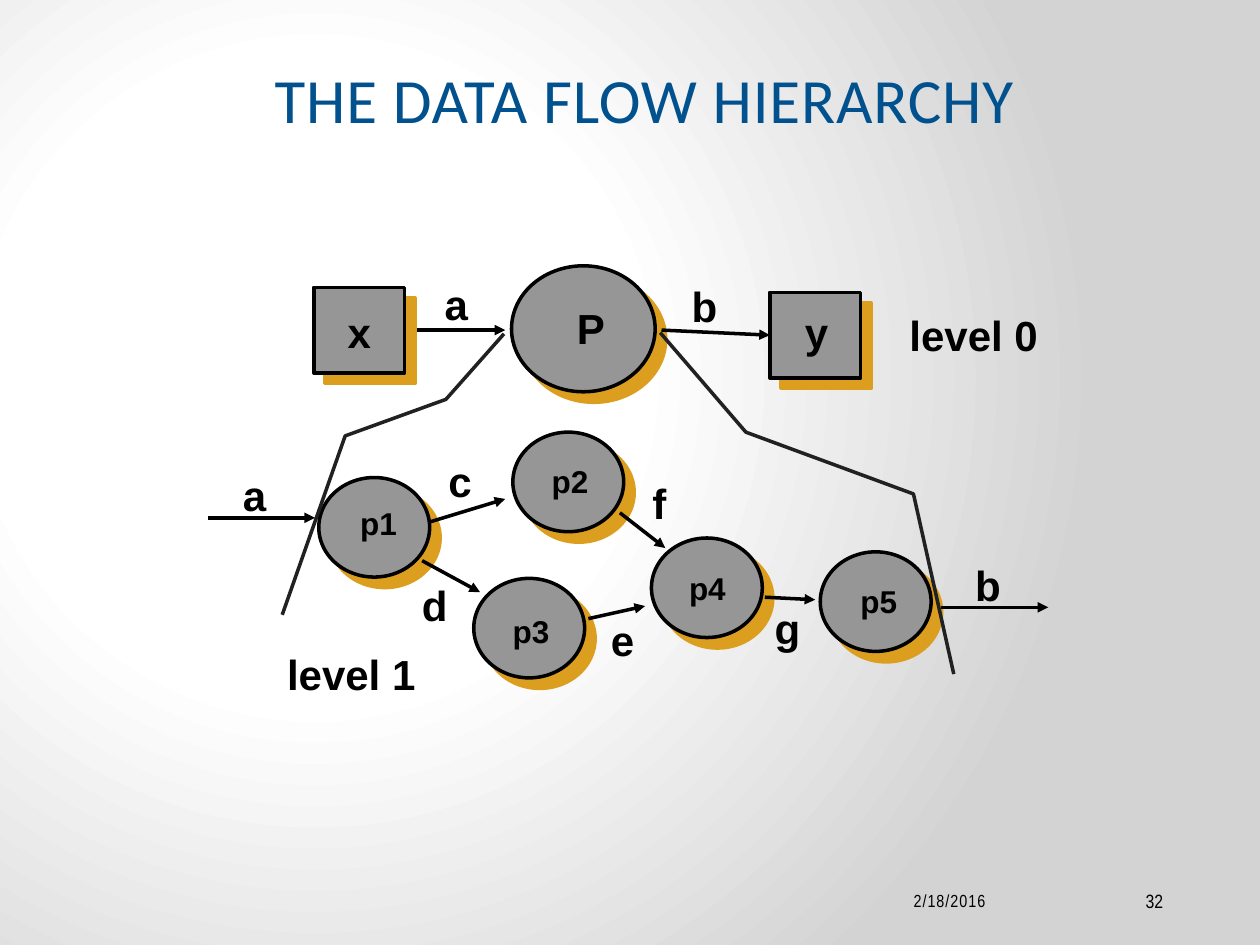
import pptx
import pptx.dml.color
import pptx.enum.shapes
import pptx.enum.text
import pptx.oxml
import pptx.oxml.ns
import pptx.util
from pptx.util import Inches

HUES = {"ink": "000000", "gray": "969696", "gold": "DC9E1F", "blue": "00518E",
        "edge": "1F2123", "white": "FFFFFF", "dim": "D3D3D3"}
KIND = pptx.enum.shapes.MSO_SHAPE
ALIGN = pptx.enum.text.PP_ALIGN
ANCHOR = pptx.enum.text.MSO_ANCHOR
FIT = pptx.enum.text.MSO_AUTO_SIZE


def make(xml):
    return pptx.oxml.parse_xml(xml.replace(">", f" {pptx.oxml.ns.nsdecls('a')}>", 1))


def tint(hue):
    return pptx.dml.color.RGBColor.from_string(HUES[hue])


class Board:
    """Draw the elements of a data flow diagram on one slide."""

    def __init__(self, slide):
        self.slide = slide
        self.shapes = slide.shapes
        self.width = pptx.util.Pt(2)

    def back(self):
        self.slide.background.fill.gradient()
        old = self.slide.element.find(".//" + pptx.oxml.ns.qn("a:gradFill"))
        stops = "".join(
            f'<a:gs pos="{pos}000"><a:srgbClr val="{HUES[hue]}"/></a:gs>'
            for pos, hue in ((0, "white"), (41, "white"), (100, "dim")))
        new = make(f'<a:gradFill rotWithShape="1"><a:gsLst>{stops}</a:gsLst><a:path path="circle">'
                   '<a:fillToRect l="50000" t="80000" r="100000" b="100000"/></a:path></a:gradFill>')
        old.getparent().replace(old, new)

    def text(self, text, left, top, width, height, size=24, font="Arial", hue="ink",
             bold=True, fill=None, fit=True, align=ALIGN.LEFT, anchor=ANCHOR.TOP, gap=0):
        area = [Inches(n) for n in (left, top, width, height)]
        if fill:
            box = self.shapes.add_shape(KIND.RECTANGLE, *area)
            box.shadow.inherit = False
            box.fill.solid()
            box.fill.fore_color.rgb = tint(fill)
            box.line.fill.background()
        else:
            box = self.shapes.add_textbox(*area)
        frame = box.text_frame
        frame.word_wrap = not fit
        frame.auto_size = FIT.SHAPE_TO_FIT_TEXT if fit else FIT.NONE
        frame.vertical_anchor = anchor
        para = frame.paragraphs[0]
        para.alignment = align
        run = para.add_run()
        run.text = text
        run.font.size = pptx.util.Pt(size)
        run.font.name = font
        run.font.bold = bold
        run.font.color.rgb = tint(hue)
        if gap:
            run.font._element.set("spc", str(gap))

    def node(self, kind, left, top, width, height):
        node = self.shapes.add_shape(kind, *[Inches(n) for n in (left, top, width, height)])
        node.fill.solid()
        node.fill.fore_color.rgb = tint("gray")
        node.line.color.rgb = tint("ink")
        node.line.width = self.width
        node.shadow.inherit = False
        cast = node._element.spPr.find(pptx.oxml.ns.qn("a:effectLst"))
        cast.append(make('<a:outerShdw dist="107950" dir="2700000" algn="ctr" rotWithShape="0">'
                         f'<a:srgbClr val="{HUES["gold"]}"/></a:outerShdw>'))
        return node

    def arrow(self, *ends):
        line = self.shapes.add_connector(pptx.enum.shapes.MSO_CONNECTOR.STRAIGHT,
                                         *[Inches(n) for n in ends])
        line.line.color.rgb = tint("ink")
        line.line.width = self.width
        line.line._get_or_add_ln().append(make('<a:tailEnd type="triangle"></a:tailEnd>'))
        line._element.spPr.append(make("<a:effectLst></a:effectLst>"))
        return line

    def bound(self, first, *rest):
        path = self.shapes.build_freeform(*[Inches(n) for n in first])
        path.add_line_segments([(Inches(x), Inches(y)) for x, y in rest], close=False)
        edge = path.convert_to_shape()
        edge.shadow.inherit = False
        edge.fill.background()
        edge.line.color.rgb = tint("edge")
        edge.line.width = self.width


def main():
    deck = pptx.Presentation()
    deck.slide_width, deck.slide_height = Inches(10), Inches(7.5)
    board = Board(deck.slides.add_slide(deck.slide_layouts[6]))
    board.back()
    board.text("THE DATA FLOW HIERARCHY", 1.15, 0.5, 7.93, 0.63, size=36, font="Calibri",
               hue="blue", bold=False, fit=False, align=ALIGN.CENTER,
               anchor=ANCHOR.BOTTOM, gap=50)

    board.node(KIND.OVAL, 4.06, 2.11, 1.14, 1)
    enter = board.arrow(3.17, 2.62, 4.01, 2.62)
    leave = board.arrow(5.25, 2.62, 6.1, 2.62)
    enter.begin_connect(board.node(KIND.RECTANGLE, 2.49, 2.28, 0.72, 0.68), 3)
    leave.end_connect(board.node(KIND.RECTANGLE, 6.11, 2.32, 0.72, 0.68), 1)
    for name, left, top, width in (("P", 4.48, 2.35, 0.42), ("x", 2.66, 2.38, 0.39),
                                   ("y", 6.29, 2.38, 0.39)):
        board.text(name, left, top, width, 0.5, fill="gray")

    steps = (("p1", 2.53, 3.79, 2.76, 3.95), ("p2", 4.07, 3.43, 4.28, 3.62),
             ("p3", 3.76, 4.59, 3.97, 4.81), ("p4", 5.17, 4.27, 5.37, 4.47),
             ("p5", 6.51, 4.38, 6.73, 4.57))
    for name, left, top, *spot in steps:
        board.node(KIND.OVAL, left, top, 0.88, 0.79)
    for ends in ((1.65, 4.11, 2.5, 4.11), (7.47, 4.82, 8.32, 4.82),
                 (3.42, 4.14, 4.01, 3.96), (3.35, 4.45, 3.81, 4.7),
                 (4.67, 4.91, 5.12, 4.81), (4.92, 4.07, 5.28, 4.35),
                 (6.07, 4.74, 6.47, 4.76)):
        board.arrow(*ends)
    for name, left, top, *spot in steps:
        board.text(name, *spot, 0.49, 0.4, size=18, fill="gray")

    board.bound((4, 2.65), (3.54, 3.17), (2.74, 3.46), (2.24, 4.88))
    board.bound((5.24, 2.64), (5.92, 3.43), (7.25, 3.92), (7.57, 5.35))
    for name, left, top, width in (
            ("a", 3.43, 2.16, 0.39), ("b", 5.39, 2.18, 0.4), ("a", 1.83, 3.68, 0.39),
            ("b", 7.64, 4.39, 0.4), ("c", 3.46, 3.57, 0.39), ("d", 3.25, 4.55, 0.4),
            ("e", 4.75, 4.83, 0.39), ("f", 5.08, 3.74, 0.31), ("g", 6.05, 4.73, 0.4),
            ("level 0", 7.12, 2.41, 1.23), ("level 1", 2.18, 5.1, 1.23)):
        board.text(name, left, top, width, 0.5)

    for text, left, width, size, gap in (("2/18/2016", 6.25, 1.67, 10, 60),
                                         ("32", 8.25, 1.08, 11, 0)):
        board.text(text, left, 6.95, width, 0.4, size=size, font="Arial Narrow", bold=False,
                   fit=False, align=ALIGN.RIGHT, anchor=ANCHOR.MIDDLE, gap=gap)
    deck.save("out.pptx")


if __name__ == "__main__":
    main()
